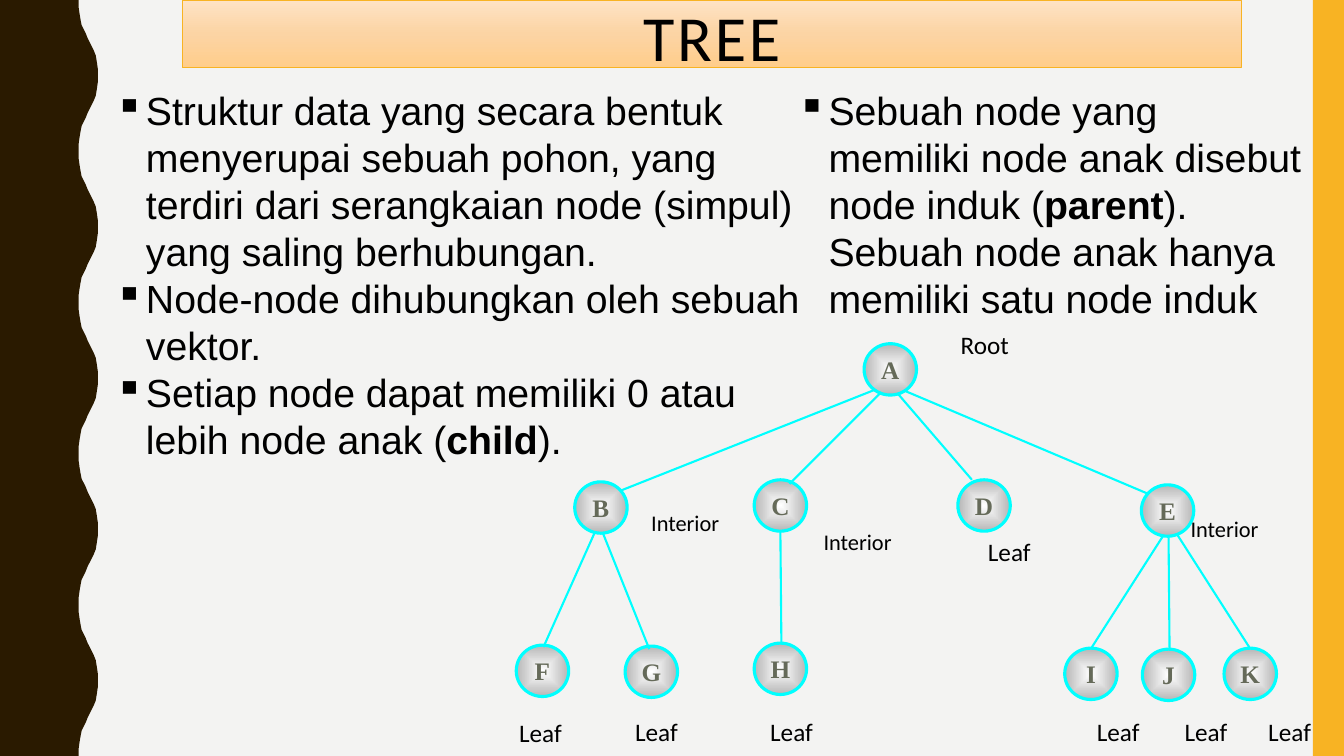
"""Build the TREE slide: two bullet columns above a labelled node diagram."""
from dataclasses import dataclass
from lxml import etree
from pptx import Presentation, util as u
from pptx.dml.color import RGBColor
from pptx.enum import shapes as es, text as et
from pptx.oxml import parse_xml
from pptx.oxml.ns import qn, nsdecls

CELL = 9144
COLS, ROWS = 1333, 750


@dataclass
class Theme:
    back: str = "F3F3F2"
    wave: str = "2A1A00"
    gold: str = "F8B323"
    cyan: str = "00FFFF"
    ink: str = "000000"
    mark: str = "656A59"
    peach: tuple = ((0, "FEE3C5"), (50, "FCD4A4"), (100, "FFCD8B"))
    steel: tuple = ((0, "FFFFFF"), (100, "B6B6B6"))
    head: float = 45.9
    body: float = 28
    lead: float = 33.6
    node: float = 18
    leaf: float = 18
    inner: float = 16
    sans: str = "Arial"
    plain: str = "Calibri"
    serif: str = "Times New Roman"


T = Theme()

TITLE = "TREE"
BODIES = [
    ((104, 81, 700, 387), 5, [
        [("Struktur data yang secara bentuk menyerupai sebuah pohon, yang terdiri "
          "dari serangkaian node (simpul) yang saling berhubungan.", False)],
        [("Node-node dihubungkan oleh sebuah vektor.", False)],
        [("Setiap node dapat memiliki 0 atau lebih node anak (", False),
         ("child", True), (").", False)],
    ]),
    ((781, 81, 526, 246), 10, [
        [("Sebuah node yang memiliki node anak disebut node induk (", False),
         ("parent", True),
         ("). Sebuah node anak hanya memiliki satu node induk", False)],
    ]),
]
NODES = {
    "A": (857, 341),
    "B": (570, 478), "C": (748, 476), "D": (950, 476), "E": (1132, 481),
    "F": (512, 640), "G": (620, 641), "H": (748, 638),
    "I": (1056, 643), "J": (1133, 644), "K": (1214, 643),
}
EDGES = [
    (867, 387, 615, 487), (874, 389, 783, 480),
    (890, 390, 964, 476), (898, 388, 1139, 490),
    (590, 528, 539, 642), (598, 529, 644, 644),
    (774, 527, 775, 639),
    (1154, 531, 1083, 642), (1159, 533, 1160, 645), (1168, 531, 1239, 642),
]
LABELS = [
    ("Root", T.leaf, (81, 43), [(943, 322)]),
    ("Leaf", T.leaf, (65, 43), [(505, 707), (620, 706), (754, 706), (970, 527),
                                (1078, 706), (1165, 706), (1248, 706)]),
    ("Interior", T.inner, (102, 37), [(636, 500), (807, 519), (1171, 506)]),
]
NODE = (52, 51)
PERIOD = 150
CREST = [(78, 0), (78, 7), (79, 14), (80, 20), (81, 25), (83, 29), (85, 33),
         (87, 38), (89, 42), (91, 46), (93, 50), (95, 55), (96, 61), (97, 68)]


def grid(*cells):
    return [u.Emu(c * CELL) for c in cells]


def tint(name):
    return RGBColor.from_string(name)


def paint(shape, color, edge=None, width=0):
    shape.shadow.inherit = False
    shape.fill.solid()
    shape.fill.fore_color.rgb = tint(color)
    if edge:
        shape.line.color.rgb = tint(edge)
        shape.line.width = u.Pt(width)
    else:
        shape.line.fill.background()


def blend(shape, stops, way):
    marks = "".join(f'<a:gs pos="{p * 1000}"><a:srgbClr val="{c}"/></a:gs>'
                    for p, c in stops)
    flat = shape._element.spPr.find(qn("a:solidFill"))
    flat.getparent().replace(flat, parse_xml(
        f'<a:gradFill {nsdecls("a")} rotWithShape="1">'
        f'<a:gsLst>{marks}</a:gsLst>{way}</a:gradFill>'))


def write(para, words, face, size, color=T.ink, bold=False):
    run = para.add_run()
    run.text = words
    font = run.font
    font.name, font.size, font.bold = face, u.Pt(size), bold
    font.color.rgb = tint(color)
    return run


def bullet(para):
    props = para._p.get_or_add_pPr()
    props.set("marL", str(31 * CELL))
    props.set("indent", str(-31 * CELL))
    etree.SubElement(props, qn("a:buChar")).set("char", "▪")
    para.line_spacing = u.Pt(T.lead)


def frame(slide, place, wrap):
    area = slide.shapes.add_textbox(*grid(*place)).text_frame
    area.word_wrap = wrap
    area.auto_size = et.MSO_AUTO_SIZE.SHAPE_TO_FIT_TEXT
    return area


def add_title(slide):
    box = slide.shapes.title
    box.left, box.top, box.width, box.height = grid(181, 0, 1050, 67)
    paint(box, T.gold, T.gold, 0.5)
    blend(box, T.peach, '<a:lin ang="5400000" scaled="0"/>')
    area = box.text_frame
    area.auto_size = et.MSO_AUTO_SIZE.NONE
    area.vertical_anchor = et.MSO_ANCHOR.TOP
    area.margin_top = u.Emu(6 * CELL)
    para = area.paragraphs[0]
    para.alignment = et.PP_ALIGN.CENTER
    para.line_spacing = 0.9
    run = write(para, TITLE, T.plain, T.head)
    run._r.get_or_add_rPr().set("spc", "200")


def add_sides(slide):
    half = CREST + [(97, PERIOD // 2)]
    wave = half + [(x, PERIOD - y) for x, y in reversed(CREST)]
    edge = [(x, y + top) for top in range(0, ROWS, PERIOD) for x, y in wave]
    pen = slide.shapes.build_freeform(0, 0, scale=CELL)
    pen.add_line_segments(edge + [(0, ROWS)], close=True)
    paint(pen.convert_to_shape(), T.wave)
    bar = slide.shapes.add_shape(es.MSO_SHAPE.RECTANGLE,
                                 *grid(COLS - 31, 0, 31, ROWS))
    paint(bar, T.gold)


def add_node(slide, name, spot):
    disc = slide.shapes.add_shape(es.MSO_SHAPE.OVAL, *grid(*spot, *NODE))
    paint(disc, T.cyan, T.cyan, 2.25)
    blend(disc, T.steel, '<a:path path="shape"><a:fillToRect l="50000" '
          't="50000" r="50000" b="50000"/></a:path>')
    area = disc.text_frame
    area.margin_left = area.margin_right = 0
    area.margin_top = area.margin_bottom = 0
    area.vertical_anchor = et.MSO_ANCHOR.MIDDLE
    para = area.paragraphs[0]
    para.alignment = et.PP_ALIGN.CENTER
    write(para, name, T.serif, T.node, T.mark, True)


def add_edge(slide, ends):
    line = slide.shapes.add_connector(es.MSO_CONNECTOR.STRAIGHT, *grid(*ends))
    line.line.color.rgb = tint(T.cyan)
    line.line.width = u.Pt(1.5)
    etree.SubElement(line._element.spPr, qn("a:effectLst"))


def add_body(slide, place, inset, paras):
    area = frame(slide, place, True)
    area.margin_right = u.Emu(inset * CELL)
    for i, runs in enumerate(paras):
        para = area.add_paragraph() if i else area.paragraphs[0]
        bullet(para)
        for words, bold in runs:
            write(para, words, T.sans, T.body, bold=bold)


def main():
    deck = Presentation()
    deck.slide_width, deck.slide_height = grid(COLS, ROWS)
    slide = deck.slides.add_slide(deck.slide_layouts[5])
    slide.background.fill.solid()
    slide.background.fill.fore_color.rgb = tint(T.back)
    add_sides(slide)
    add_title(slide)
    for name, spot in NODES.items():
        add_node(slide, name, spot)
    for ends in EDGES:
        add_edge(slide, ends)
    for words, size, area, spots in LABELS:
        for spot in spots:
            para = frame(slide, spot + area, False).paragraphs[0]
            write(para, words, T.plain, size)
    for body in BODIES:
        add_body(slide, *body)
    deck.save("out.pptx")


if __name__ == "__main__":
    main()
